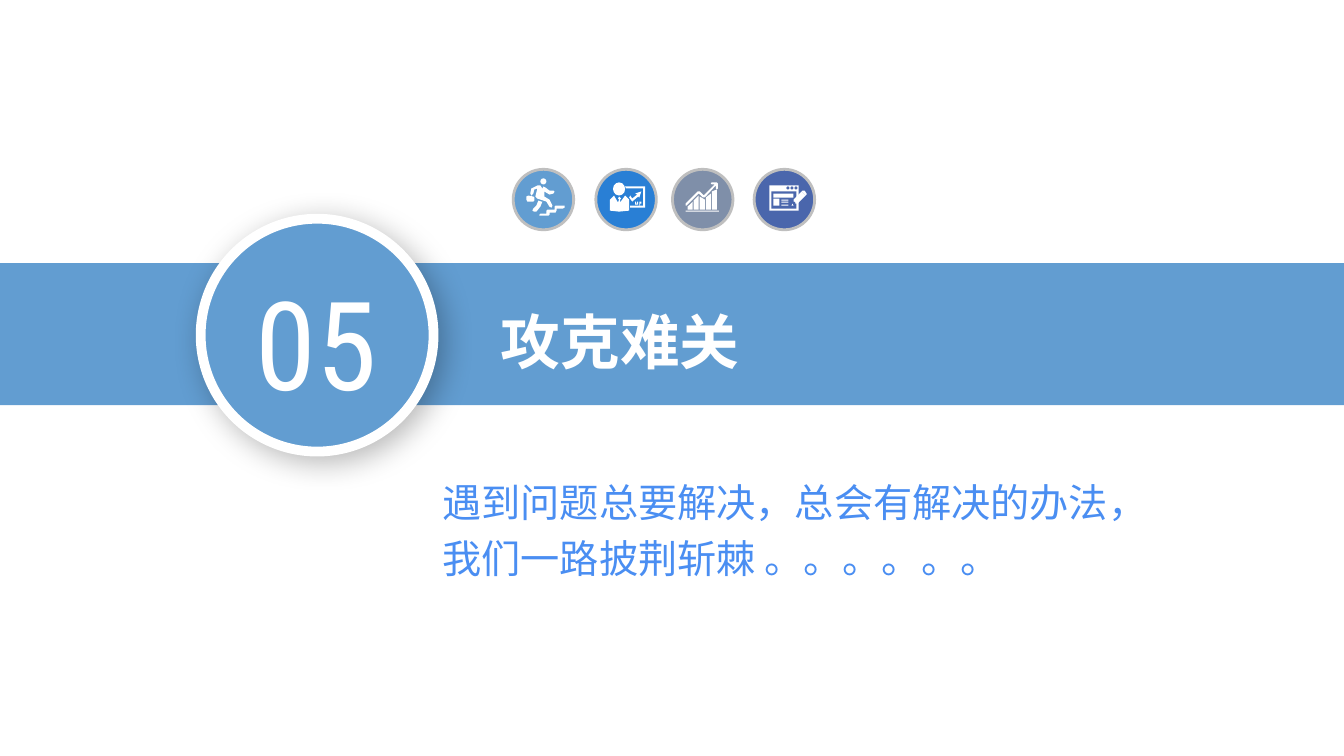
from dataclasses import dataclass

from lxml import etree
from pptx import Presentation
from pptx.dml.color import RGBColor
from pptx.enum.shapes import MSO_SHAPE
from pptx.enum.text import MSO_AUTO_SIZE, PP_ALIGN
from pptx.oxml.ns import qn
from pptx.shapes.autoshape import Shape
from pptx.slide import Slide
from pptx.util import Emu, Pt

PX = 9144
RECT, OVAL = MSO_SHAPE.RECTANGLE, MSO_SHAPE.OVAL
LEFT, CENTER = PP_ALIGN.LEFT, PP_ALIGN.CENTER
GROW = MSO_AUTO_SIZE.SHAPE_TO_FIT_TEXT


@dataclass(frozen=True)
class Theme:
    band: str = "629DD1"
    white: str = "FFFFFF"
    blue: str = "297FD5"
    slate: str = "7F8FA9"
    indigo: str = "4A66AC"
    ring: str = "BFBFBF"
    caption: str = "4A8EF2"
    shadow: str = "000000"
    cjk: str = "Noto Sans CJK SC"
    digits: str = "Roboto Condensed"
    number_size: float = 88
    title_size: float = 42.6
    caption_size: float = 28


THEME = Theme()


@dataclass(frozen=True)
class Outline:
    points: str


@dataclass(frozen=True)
class Block:
    kind: MSO_SHAPE
    left: int
    top: int
    width: int
    height: int
    cutout: bool = False


@dataclass(frozen=True)
class Badge:
    left: int
    color: str
    icon: tuple[Outline | Block, ...]


@dataclass(frozen=True)
class Label:
    text: str
    left: int
    top: int
    width: int
    height: int
    size: float
    font: str
    color: str
    bold: bool = False
    align: PP_ALIGN = LEFT
    spacing: float = 1.0


BADGE_TOP, BADGE_SIZE = 168, 60

RUNNER = (
    Outline("27,44 33,44 33,41 34,40 41,40 41,37 42,36 51,36 51,38 49,39 43,39 "
            "43,41 42,43 36,43 36,45 35,46 26,46 26,45"),
    Outline("14,32 20,32 21,31 21,28 20,27 15,26 13,27 13,30"),
    Outline("20,39 23,36 25,31 28,32 29,32 27,37 23,42 21,42 19,41"),
    Block(OVAL, 27, 9, 6, 6),
    Outline("30,17 32,18 36,21 40,21 41,22 40,24 36,25 31,22 31,27 36,30 39,36 38,38 "
            "36,37 33,32 24,29 22,27 24,19 21,20 20,24 18,26 17,24 18,19 24,16 27,16 29,19"),
)
PRESENTER = (
    Outline("29,17 30,19 47,19 47,36 34,36 34,38 49,38 49,17"),
    Block(OVAL, 17, 13, 12, 13),
    Outline("34,26 33,28 36,32 42,27 43,28 45,22 39,24 41,25 36,29"),
    Outline("29,26 24,33 24,30 25,29 23,27 22,29 23,30 22,33 18,26 14,30 14,41 23,42 33,41 33,30"),
    Outline("39,32 39,35 42,35 42,32 41,32 41,34 40,34 40,32"),
    Outline("43,32 43,36 44,36 44,34 45,34 45,32"),
)
BAR_TOPS = ((37, 32), (31, 26), (27, 30), (28, 24), (22, 20))
GROWTH = (
    Block(RECT, 13, 41, 33, 1),
    *(Outline(f"{x},40 {x},{start} {x + 5},{end} {x + 5},40")
      for x, (start, end) in zip(range(15, 45, 6), BAR_TOPS)),
    Outline("14,36 26,24 30,28 32,28 43,16 43,19 44,20 45,19 45,14 44,13 39,13 38,14 "
            "39,15 42,15 31,26 27,22 25,22 13,34 13,36"),
)
WINDOW = (
    Block(RECT, 15, 16, 29, 25),
    Block(RECT, 17, 22, 25, 17, cutout=True),
    *(Block(OVAL, x, 17, 3, 3, cutout=True) for x in range(32, 44, 4)),
    Block(RECT, 19, 24, 20, 4),
    Block(RECT, 19, 29, 6, 7),
    *(Block(RECT, 27, y, 7, 1) for y in (30, 32, 35)),
    Outline("38,34 37,36 39,36"),
    Outline("51,26 52,25 52,24 50,21 48,21 47,22"),
    Outline("47,22 39,30 39,32 40,32 41,33 41,34 43,34 51,26"),
)
BADGES = (
    Badge(509, THEME.band, RUNNER),
    Badge(591, THEME.blue, PRESENTER),
    Badge(667, THEME.slate, GROWTH),
    Badge(748, THEME.indigo, WINDOW),
)
TITLE = Label("攻克难关", 487, 298, 472, 82, THEME.title_size, THEME.cjk, THEME.white, bold=True)
CAPTION = Label("遇到问题总要解决，总会有解决的办法，我们一路披荆斩棘 。。。。。。", 429, 460, 738, 123,
                THEME.caption_size, THEME.cjk, THEME.caption, spacing=1.2)
NUMBER = Label("05", 226, 260, 175, 158, THEME.number_size, THEME.digits, THEME.white, align=CENTER)


def px(length: int) -> Emu:
    return Emu(length * PX)


def paint(shape: Shape, color: str) -> None:
    shape.shadow.inherit = False
    shape.fill.solid()
    shape.fill.fore_color.rgb = RGBColor.from_string(color)
    shape.line.fill.background()


def add_block(page: Slide, kind: MSO_SHAPE, left: int, top: int, width: int, height: int,
              color: str) -> Shape:
    shape = page.shapes.add_shape(kind, px(left), px(top), px(width), px(height))
    paint(shape, color)
    return shape


def add_ring(shape: Shape, color: str, width: float) -> None:
    shape.line.color.rgb = RGBColor.from_string(color)
    shape.line.width = Pt(width)


def add_outline(page: Slide, outline: Outline, left: int, top: int) -> None:
    pairs = [tuple(map(int, pair.split(","))) for pair in outline.points.split()]
    points = [(left + x, top + y) for x, y in pairs]
    builder = page.shapes.build_freeform(*points[0], scale=PX)
    builder.add_line_segments(points[1:], close=True)
    paint(builder.convert_to_shape(), THEME.white)


def add_badge(page: Slide, badge: Badge) -> None:
    disc = add_block(page, OVAL, badge.left, BADGE_TOP, BADGE_SIZE, BADGE_SIZE, badge.color)
    add_ring(disc, THEME.ring, 2)
    for piece in badge.icon:
        if isinstance(piece, Outline):
            add_outline(page, piece, badge.left, BADGE_TOP)
        else:
            add_block(page, piece.kind, badge.left + piece.left, BADGE_TOP + piece.top,
                      piece.width, piece.height, badge.color if piece.cutout else THEME.white)


def add_shadow(shape: Shape) -> None:
    effects = shape._element.spPr.find(qn("a:effectLst"))
    shadow = etree.SubElement(effects, qn("a:outerShdw"), blurRad=str(Pt(22)), dist=str(Pt(6)),
                              dir=str(45 * 60000), algn="tl", rotWithShape="0")
    color = etree.SubElement(shadow, qn("a:srgbClr"), val=THEME.shadow)
    etree.SubElement(color, qn("a:alpha"), val="28000")


def add_label(page: Slide, label: Label) -> None:
    box = page.shapes.add_textbox(px(label.left), px(label.top), px(label.width), px(label.height))
    box.text_frame.word_wrap = True
    box.text_frame.auto_size = GROW
    para = box.text_frame.paragraphs[0]
    para.text = label.text
    para.alignment = label.align
    para.line_spacing = label.spacing
    para.font.size = Pt(label.size)
    para.font.bold = label.bold
    para.font.color.rgb = RGBColor.from_string(label.color)
    para.font.name = label.font
    defaults = para._p.pPr.find(qn("a:defRPr"))
    etree.SubElement(defaults, qn("a:ea"), typeface=label.font)


def main() -> None:
    deck = Presentation()
    deck.slide_width, deck.slide_height = px(1333), px(750)
    page = deck.slides.add_slide(deck.slide_layouts[6])
    add_block(page, RECT, 0, 261, 1333, 141, THEME.band)
    add_label(page, TITLE)
    add_label(page, CAPTION)
    for badge in BADGES:
        add_badge(page, badge)
    medallion = add_block(page, OVAL, 199, 217, 231, 231, THEME.band)
    add_ring(medallion, THEME.white, 7)
    add_shadow(medallion)
    add_label(page, NUMBER)
    deck.save("out.pptx")


if __name__ == "__main__":
    main()
